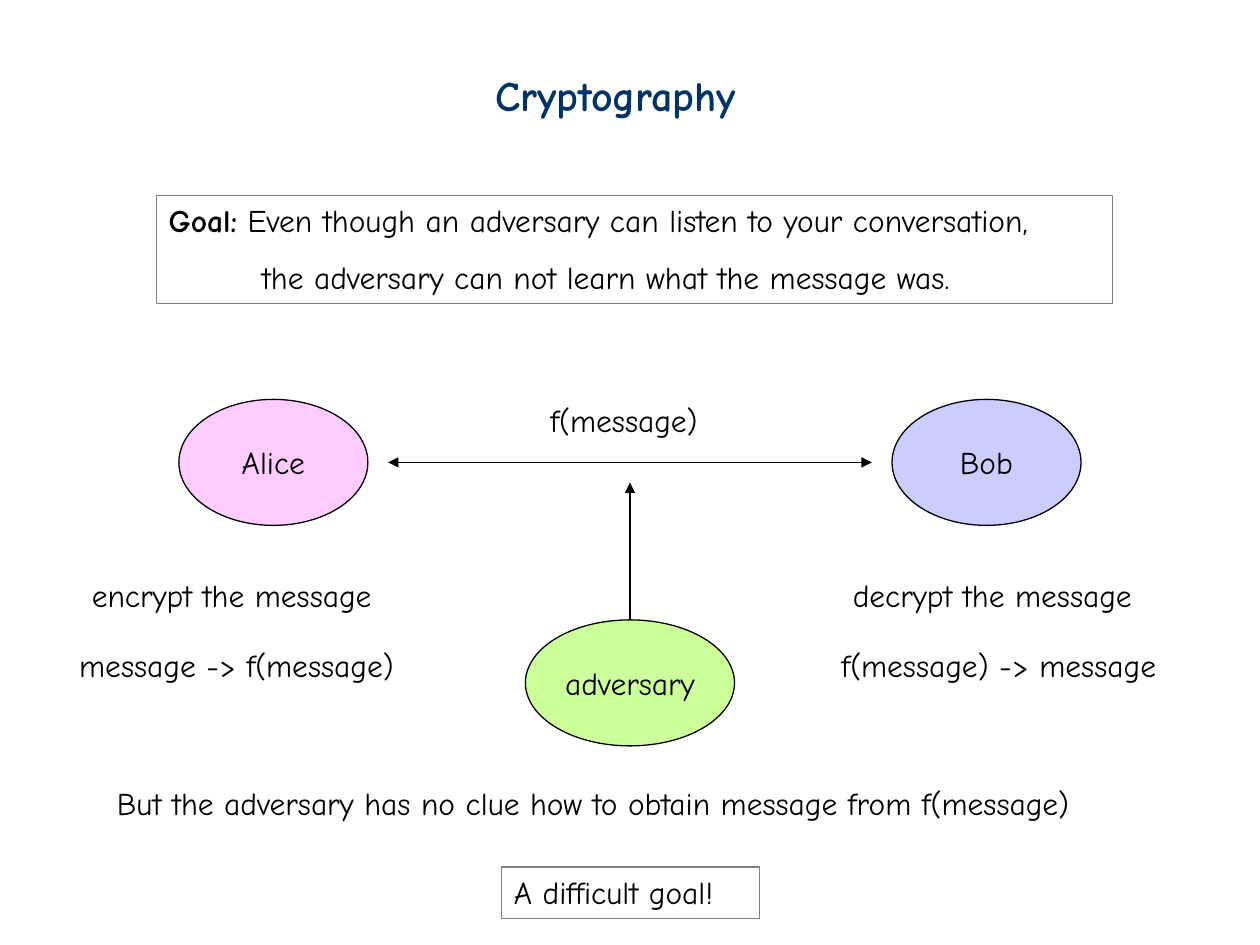
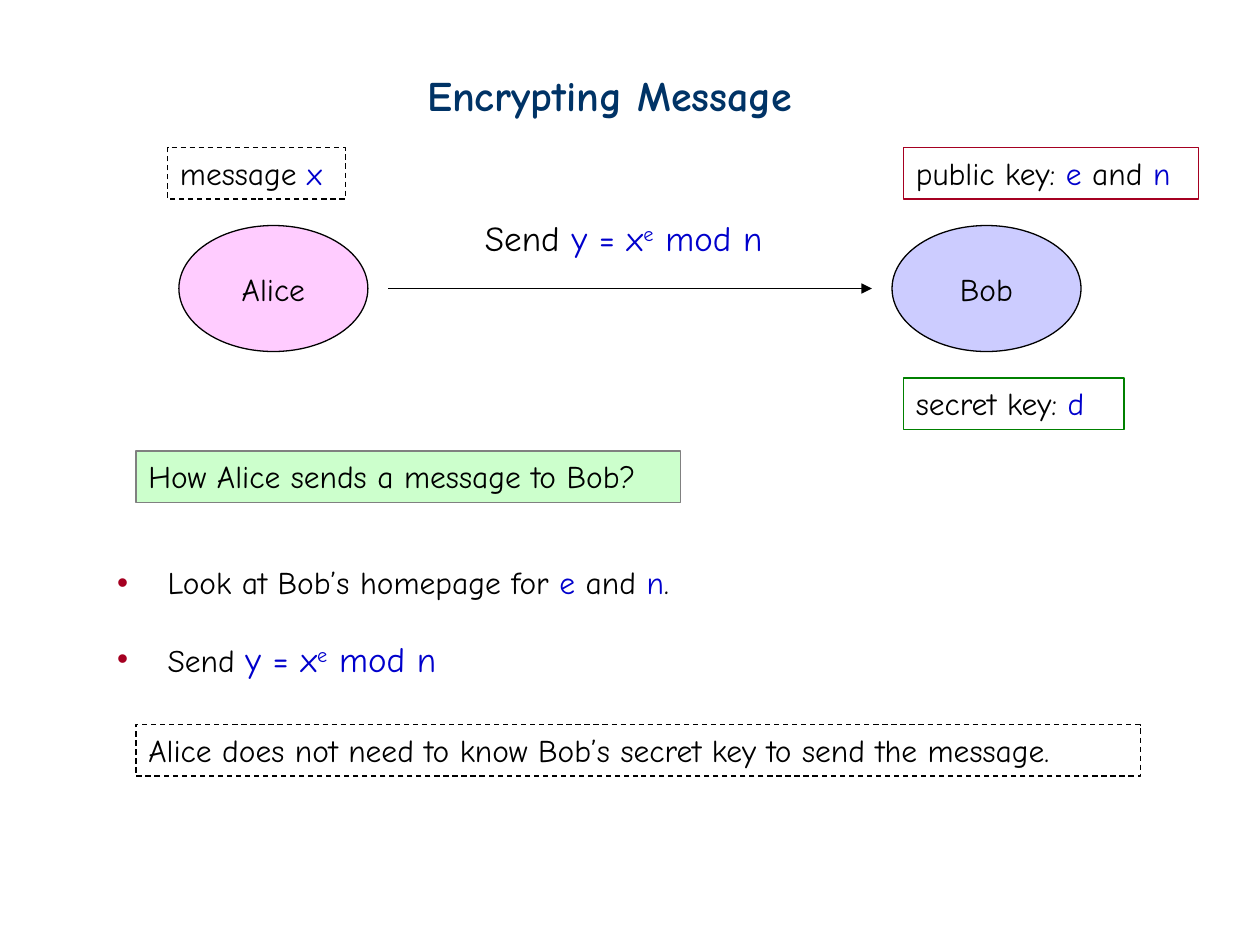
import pptx
import pptx.dml.color
import pptx.enum.dml
import pptx.enum.shapes
import pptx.enum.text
import pptx.oxml.ns
import pptx.util
from lxml import etree

EMU_PER_PX = 9144  # 100 px to the inch
FONT = "Comic Neue"
BLACK, GREY, NAVY, BLUE = "000000", "808080", "003366", "0000CC"
RED, GREEN = "A50021", "008000"
PINK, LILAC, LIME, MINT = "FFCCFF", "CCCCFF", "CCFF99", "CCFFCC"
TITLE_ONLY, TITLE_AND_BODY = 5, 1

SHAPE = pptx.enum.shapes.MSO_SHAPE
ANCHOR = pptx.enum.text.MSO_ANCHOR
ALIGN = pptx.enum.text.PP_ALIGN


def px(n):
    return pptx.util.Emu(n * EMU_PER_PX)


def rgb(color):
    return pptx.dml.color.RGBColor.from_string(color)


def sub(parent, tag, **attrs):
    return etree.SubElement(parent, pptx.oxml.ns.qn(tag), attrs)


def add_run(p, text, size=18, color=BLACK, bold=False, sup=False):
    r = p.add_run()
    r.text = text
    r.font.name = FONT
    r.font.size = pptx.util.Pt(size)
    r.font.bold = bold
    r.font.color.rgb = rgb(color)
    if sup:
        r.font._element.set("baseline", "30000")


def var(text, **fmt):
    """A run of mathematics, set in blue."""
    return text, dict(fmt, color=BLUE)


def formula():
    return [var("y = x", size=20), var("e", size=20, sup=True), var(" mod n", size=20)]


class Deck:
    def __init__(self):
        self.prs = pptx.Presentation()
        self.prs.slide_width, self.prs.slide_height = px(1000), px(750)

    def new_slide(self, layout, title, left, width):
        self.slide = self.prs.slides.add_slide(self.prs.slide_layouts[layout])
        sp = self.place(self.slide.shapes.title, left, 50, width, 50)
        self.set_text(sp, [(title, dict(size=24, color=NAVY, bold=True))])

    def place(self, sp, left, top, width, height):
        sp.left, sp.top, sp.width, sp.height = map(px, (left, top, width, height))
        return sp

    def set_text(self, sp, *paragraphs, align=ALIGN.LEFT, anchor=ANCHOR.TOP, wrap=True):
        """Fill a shape; a paragraph is a string or a list of strings and (text, format) runs."""
        tf = sp.text_frame
        tf.word_wrap = wrap
        tf.auto_size = pptx.enum.text.MSO_AUTO_SIZE.NONE
        tf.vertical_anchor = anchor
        for i, runs in enumerate(paragraphs):
            p = tf.add_paragraph() if i else tf.paragraphs[0]
            p.alignment = align
            p.space_before = pptx.util.Pt(0)
            for run in [runs] if isinstance(runs, str) else runs:
                text, fmt = (run, {}) if isinstance(run, str) else run
                add_run(p, text, **fmt)
        return tf

    def shape(self, kind, left, top, width, height, fill, line):
        sp = self.slide.shapes.add_shape(kind, *map(px, (left, top, width, height)))
        sp.shadow.inherit = False
        if fill:
            sp.fill.solid()
            sp.fill.fore_color.rgb = rgb(fill)
        else:
            sp.fill.background()
        sp.line.color.rgb = rgb(line)
        sp.line.width = pptx.util.Pt(0.75)
        return sp

    def person(self, name, left, top, fill, width=150):
        sp = self.shape(SHAPE.OVAL, left, top, width, 100, fill, BLACK)
        self.set_text(sp, name, align=ALIGN.CENTER, anchor=ANCHOR.MIDDLE, wrap=False)
        return sp

    def alice_and_bob(self, top, both_ways=False):
        self.person("Alice", 142, top, PINK)
        self.person("Bob", 708, top, LILAC)
        self.arrow(308, top + 50, 692, top + 50, both_ways)

    def box(self, left, top, width, *paragraphs, height=41, fill=None, line=GREY, dashed=False):
        sp = self.shape(SHAPE.RECTANGLE, left, top, width, height, fill, line)
        if dashed:
            sp.line.dash_style = pptx.enum.dml.MSO_LINE.DASH
        return self.set_text(sp, *paragraphs)

    def label(self, left, top, width, runs):
        sp = self.slide.shapes.add_textbox(*map(px, (left, top, width, 40)))
        self.set_text(sp, runs)

    def arrow(self, x1, y1, x2, y2, both_ways=False):
        cxn = self.slide.shapes.add_connector(
            pptx.enum.shapes.MSO_CONNECTOR.STRAIGHT, *map(px, (x1, y1, x2, y2)))
        cxn.line.color.rgb = rgb(BLACK)
        cxn.line.width = pptx.util.Pt(0.75)
        ln = cxn.line._get_or_add_ln()
        if both_ways:
            sub(ln, "a:headEnd", type="triangle")
        sub(ln, "a:tailEnd", type="triangle")
        sub(cxn._element.spPr, "a:effectLst")
        return cxn

    def bullets(self, left, top, width, height, *items):
        sp = self.place(self.slide.placeholders[1], left, top, width, height)
        tf = self.set_text(sp, *items)
        for i, p in enumerate(tf.paragraphs):
            p.space_before = pptx.util.Pt(21 if i else 0)
            pPr = p._p.get_or_add_pPr()
            pPr.set("marL", str(px(40)))
            pPr.set("indent", str(px(-40)))
            sub(sub(pPr, "a:buClr"), "a:srgbClr", val=RED)
            sub(pPr, "a:buChar", char="•")


def cryptography(deck):
    deck.new_slide(TITLE_ONLY, "Cryptography", 383, 234)
    tf = deck.box(
        124, 155, 759,
        [("Goal:", dict(bold=True)), " Even though an adversary can listen to your conversation,"],
        "the adversary can not learn what the message was.",
        height=86)
    second = tf.paragraphs[1]
    second.line_spacing = 1.5
    second._p.get_or_add_pPr().set("marL", str(px(74)))

    deck.alice_and_bob(317, both_ways=True)
    adversary = deck.person("adversary", 417, 492, LIME, width=166)
    deck.arrow(500, 492, 500, 383).begin_connect(adversary, 0)

    deck.label(427, 313, 148, "f(message)")
    deck.label(63, 452, 262, "encrypt the message")
    deck.label(53, 508, 281, "message -> f(message)")
    deck.label(667, 452, 264, "decrypt the message")
    deck.label(658, 508, 281, "f(message) -> message")
    deck.label(83, 617, 835, "But the adversary has no clue how to obtain message from f(message)")
    deck.box(398, 688, 205, "A difficult goal!")


def encrypting_message(deck):
    deck.new_slide(TITLE_AND_BODY, "Encrypting Message", 329, 338)
    deck.alice_and_bob(179)
    deck.bullets(
        83, 442, 461, 103,
        ["Look at Bob’s homepage for ", var("e"), " and ", var("n"), "."],
        ["Send ", *formula()])
    deck.label(375, 167, 249, [("Send ", dict(size=20)), *formula()])
    deck.box(133, 117, 141, ["message ", var("x")], line=BLACK, dashed=True)
    deck.box(717, 117, 234, ["public key: ", var("e"), " and ", var("n")], line=RED)
    deck.box(717, 300, 175, ["secret key: ", var("d")], line=GREEN)
    deck.box(108, 358, 432, "How Alice sends a message to Bob?", fill=MINT)
    deck.box(108, 575, 797, "Alice does not need to know Bob’s secret key to send the message.",
             line=BLACK, dashed=True)


def main():
    deck = Deck()
    cryptography(deck)
    encrypting_message(deck)
    deck.prs.save("out.pptx")


if __name__ == "__main__":
    main()
